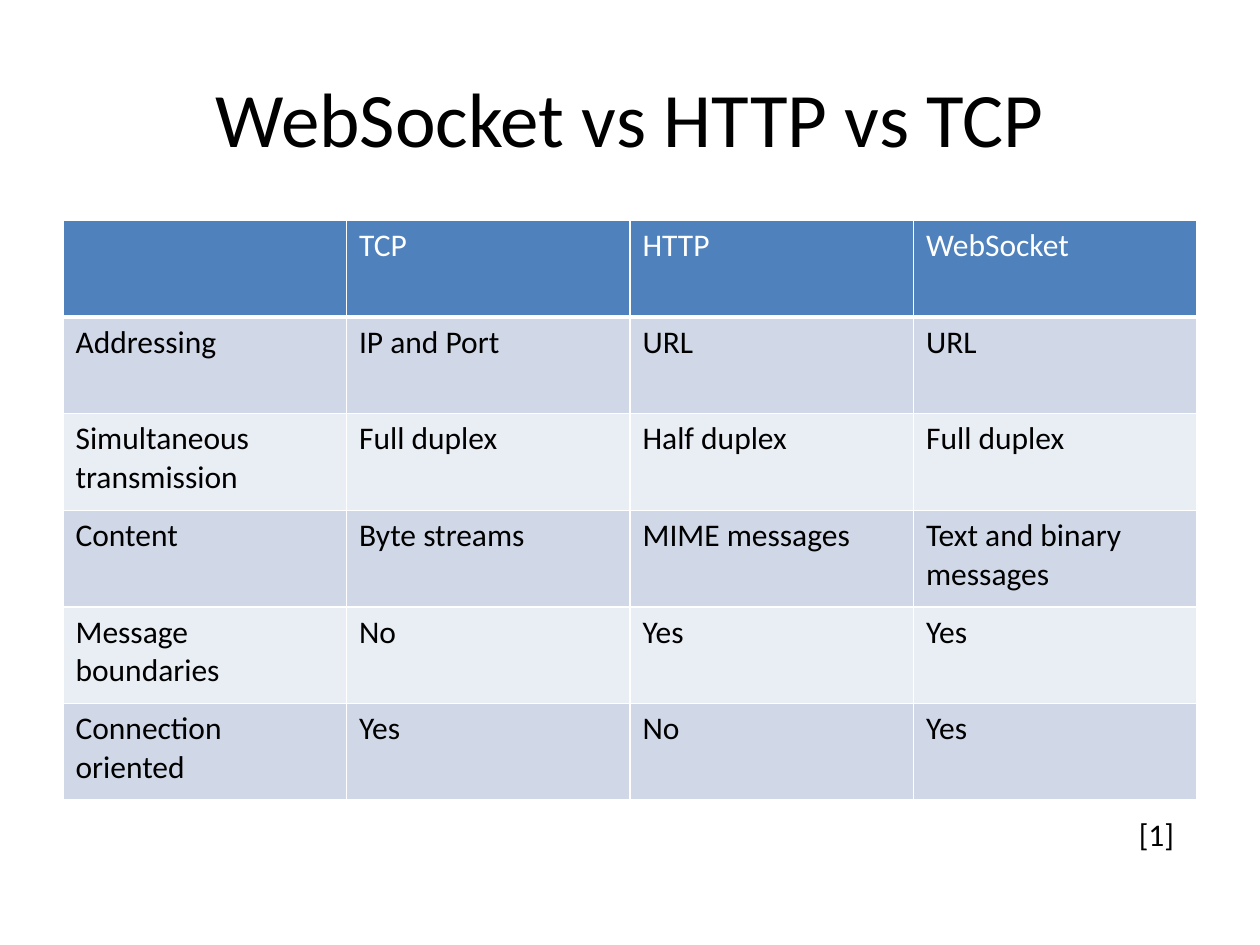
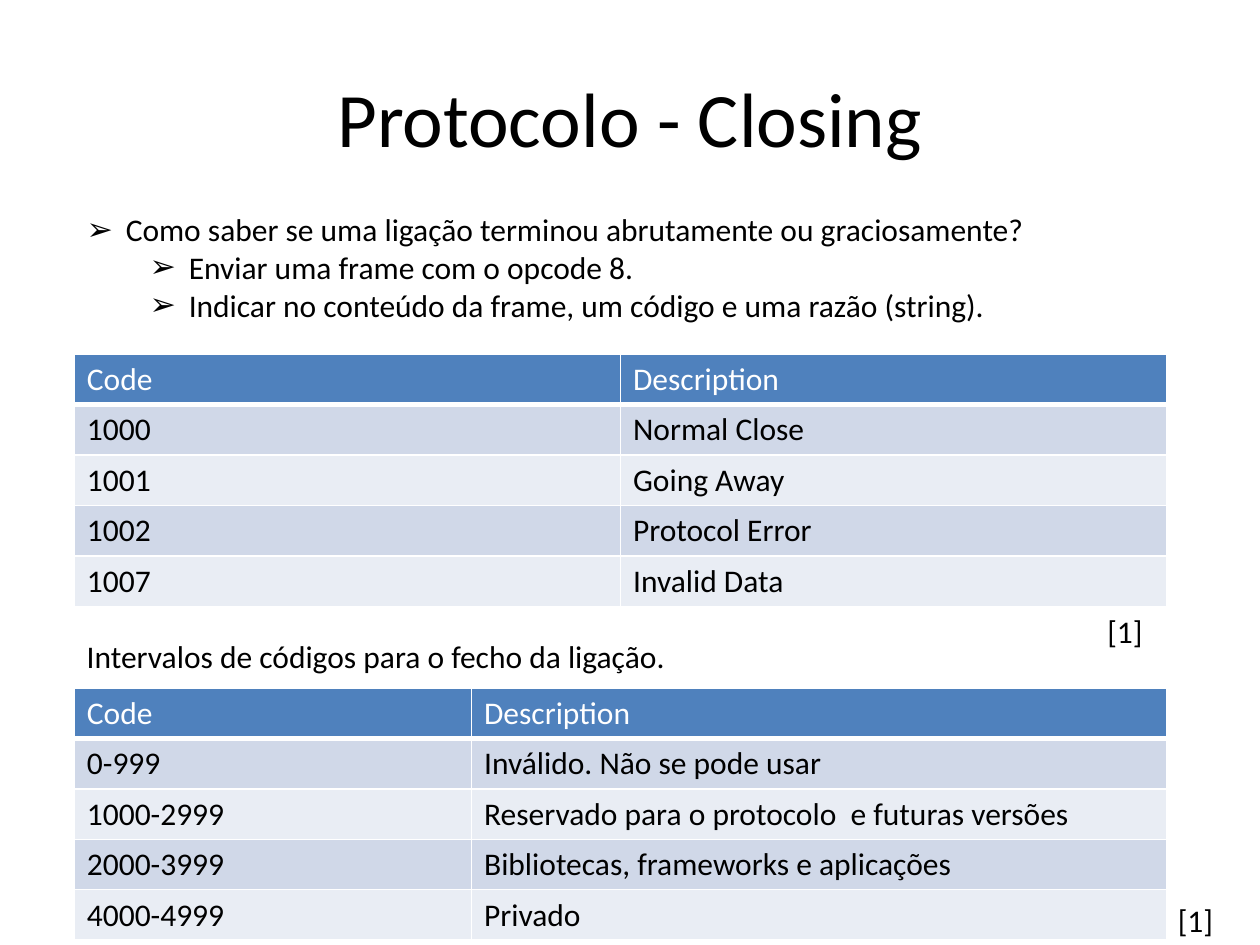
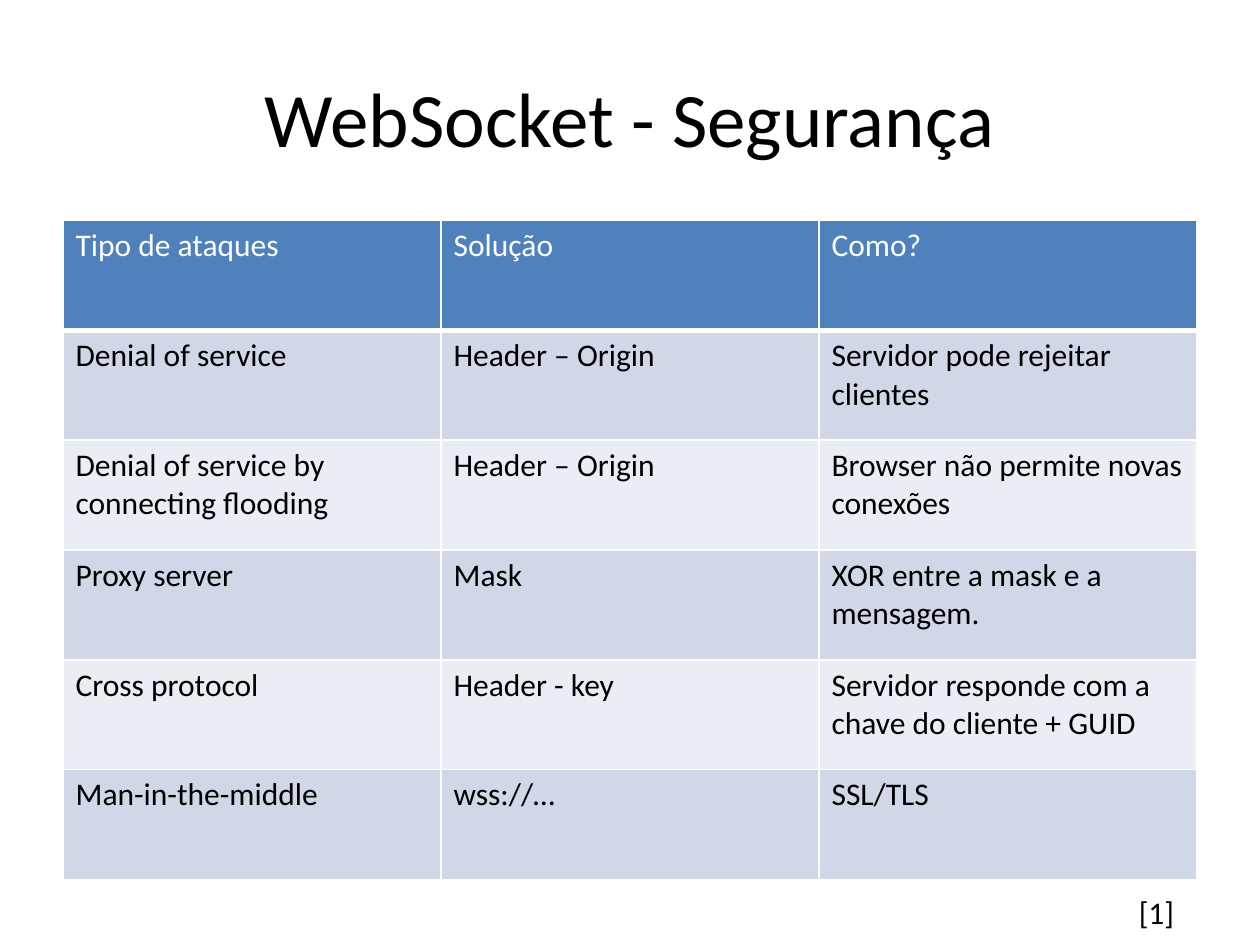
from dataclasses import dataclass
from lxml.etree import SubElement
from pptx import Presentation
from pptx.dml.color import RGBColor as Color
from pptx.enum.text import MSO_ANCHOR as Anchor, MSO_AUTO_SIZE as AutoSize, PP_ALIGN as Align
from pptx.oxml.ns import qn
from pptx.util import Inches, Pt


@dataclass(frozen=True)
class Theme:
    font: str = "Calibri"
    title_size: int = 44
    body_size: int = 18
    text: str = "000000"
    white: str = "FFFFFF"
    header: str = "4F81BD"
    bands: tuple = ("D0D8E8", "E9EDF4")
    thin: int = 1
    thick: int = 3
    bullet: str = "\u27a2"
    hanging: float = 0.31
    level_step: float = 0.5


THEME = Theme()
WIDTH, HEIGHT = 10, 7.5
MARGIN = WIDTH * 0.05
CONTENT = WIDTH - 2 * MARGIN
LINE = 0.4                      # height of one line of body text with its insets
INNER_LEFT, INNER_WIDTH = 0.59, 8.67

# Content: table boxes are (left, top, width, height), columns are relative shares
SLIDES = [
    {
        "title": "WebSocket vs HTTP vs TCP",
        "tables": [{
            "box": (MARGIN, 1.75, CONTENT, 4.6), "columns": (1, 1, 1, 1),
            "rows": [
                ("", "TCP", "HTTP", "WebSocket"),
                ("Addressing", "IP and Port", "URL", "URL"),
                ("Simultaneous transmission", "Full duplex", "Half duplex", "Full duplex"),
                ("Content", "Byte streams", "MIME messages", "Text and binary messages"),
                ("Message boundaries", "No", "Yes", "Yes"),
                ("Connection oriented", "Yes", "No", "Yes"),
            ],
        }],
        "references": [(8.94, 6.42)],
    },
    {
        "title": "Protocolo - Closing",
        "tables": [
            {
                "box": (INNER_LEFT, 5.46, INNER_WIDTH, 5 * LINE), "columns": (4, 7),
                "rows": [
                    ("Code", "Description"),
                    ("0-999", "Inválido. Não se pode usar"),
                    ("1000-2999", "Reservado para o protocolo  e futuras versões"),
                    ("2000-3999", "Bibliotecas, frameworks e aplicações"),
                    ("4000-4999", "Privado"),
                ],
            },
            {
                "box": (INNER_LEFT, 2.81, INNER_WIDTH, 5 * LINE), "columns": (1, 1),
                "rows": [
                    ("Code", "Description"),
                    ("1000", "Normal Close"),
                    ("1001", "Going Away"),
                    ("1002", "Protocol Error"),
                    ("1007", "Invalid Data"),
                ],
            },
        ],
        "caption": ("Intervalos de códigos para o fecho da ligação.", 5.01),
        "bullets": [
            (0, "Como saber se uma ligação terminou abrutamente ou graciosamente?"),
            (1, "Enviar uma frame com o opcode 8."),
            (1, "Indicar no conteúdo da frame, um código e uma razão (string)."),
        ],
        "references": [(8.69, 4.81), (9.25, HEIGHT - LINE)],
    },
    {
        "title": "WebSocket - Segurança",
        "tables": [{
            "box": (MARGIN, 1.75, CONTENT, 5.23), "columns": (1, 1, 1),
            "rows": [
                ("Tipo de ataques", "Solução", "Como?"),
                ("Denial of service", "Header – Origin", "Servidor pode rejeitar clientes"),
                ("Denial of service by connecting flooding", "Header – Origin",
                 "Browser não permite novas conexões"),
                ("Proxy server", "Mask", "XOR entre a mask e a mensagem."),
                ("Cross protocol", "Header - key",
                 "Servidor responde com a chave do cliente + GUID"),
                ("Man-in-the-middle", "wss://…", "SSL/TLS"),
            ],
        }],
        "references": [(8.94, 7.04)],
    },
]


def style_text(text_frame, size=THEME.body_size, color=THEME.text):
    for paragraph in text_frame.paragraphs:
        for run in paragraph.runs:
            run.font.name = THEME.font
            run.font.size = Pt(size)
            run.font.bold = False
            run.font.color.rgb = Color.from_string(color)


def add_text(slide, text, box, size=THEME.body_size):
    shape = slide.shapes.add_textbox(*map(Inches, box))
    text_frame = shape.text_frame
    text_frame.word_wrap = True
    text_frame.text = text
    style_text(text_frame, size)
    return text_frame


def add_title(slide, text):
    text_frame = add_text(slide, text, (MARGIN, 0.3, CONTENT, 1.25), THEME.title_size)
    text_frame.vertical_anchor = Anchor.MIDDLE
    text_frame.paragraphs[0].alignment = Align.CENTER


def add_note(slide, text, box):
    text_frame = add_text(slide, text, box)
    text_frame.auto_size = AutoSize.SHAPE_TO_FIT_TEXT
    return text_frame


def add_bullets(slide, items):
    text = "\n".join(line for _, line in items)
    text_frame = add_note(slide, text, (INNER_LEFT, 1.62, INNER_WIDTH, 1.01))
    for paragraph, (level, _) in zip(text_frame.paragraphs, items):
        paragraph.level = level
        properties = paragraph._p.get_or_add_pPr()
        properties.set("marL", str(Inches(THEME.hanging + level * THEME.level_step)))
        properties.set("indent", str(-Inches(THEME.hanging)))
        SubElement(properties, qn("a:buFont")).set("typeface", "Arial")
        SubElement(properties, qn("a:buChar")).set("char", THEME.bullet)


def set_borders(cell, bottom):
    properties = cell._tc.get_or_add_tcPr()
    widths = {"lnL": THEME.thin, "lnR": THEME.thin, "lnT": THEME.thin, "lnB": bottom}
    for side, width in widths.items():
        line = SubElement(properties, qn(f"a:{side}"))
        line.set("w", str(Pt(width)))
        fill = SubElement(line, qn("a:solidFill"))
        SubElement(fill, qn("a:srgbClr")).set("val", THEME.white)


def add_grid(slide, box, columns, rows):
    table = slide.shapes.add_table(len(rows), len(columns), *map(Inches, box)).table
    for column, share in zip(table.columns, columns):
        column.width = Inches(box[2] * share / sum(columns))
    for row_index, row in enumerate(rows):
        is_header = row_index == 0
        fill = THEME.header if is_header else THEME.bands[(row_index - 1) % 2]
        for column_index, text in enumerate(row):
            cell = table.cell(row_index, column_index)
            cell.text_frame.text = text
            style_text(cell.text_frame, color=THEME.white if is_header else THEME.text)
            # Borders come before the fill in the cell's properties
            set_borders(cell, THEME.thick if is_header else THEME.thin)
            cell.fill.solid()
            cell.fill.fore_color.rgb = Color.from_string(fill)


# Build the slides
presentation = Presentation()
presentation.slide_width, presentation.slide_height = Inches(WIDTH), Inches(HEIGHT)
blank = presentation.slide_layouts[6]
for content in SLIDES:
    slide = presentation.slides.add_slide(blank)
    add_title(slide, content["title"])
    for table in content["tables"]:
        add_grid(slide, **table)
    if "caption" in content:
        caption, top = content["caption"]
        add_note(slide, caption, (INNER_LEFT, top, INNER_WIDTH, LINE))
    if "bullets" in content:
        add_bullets(slide, content["bullets"])
    for left, top in content["references"]:
        add_note(slide, "[1]", (left, top, 0.56, LINE))

presentation.save("out.pptx")
